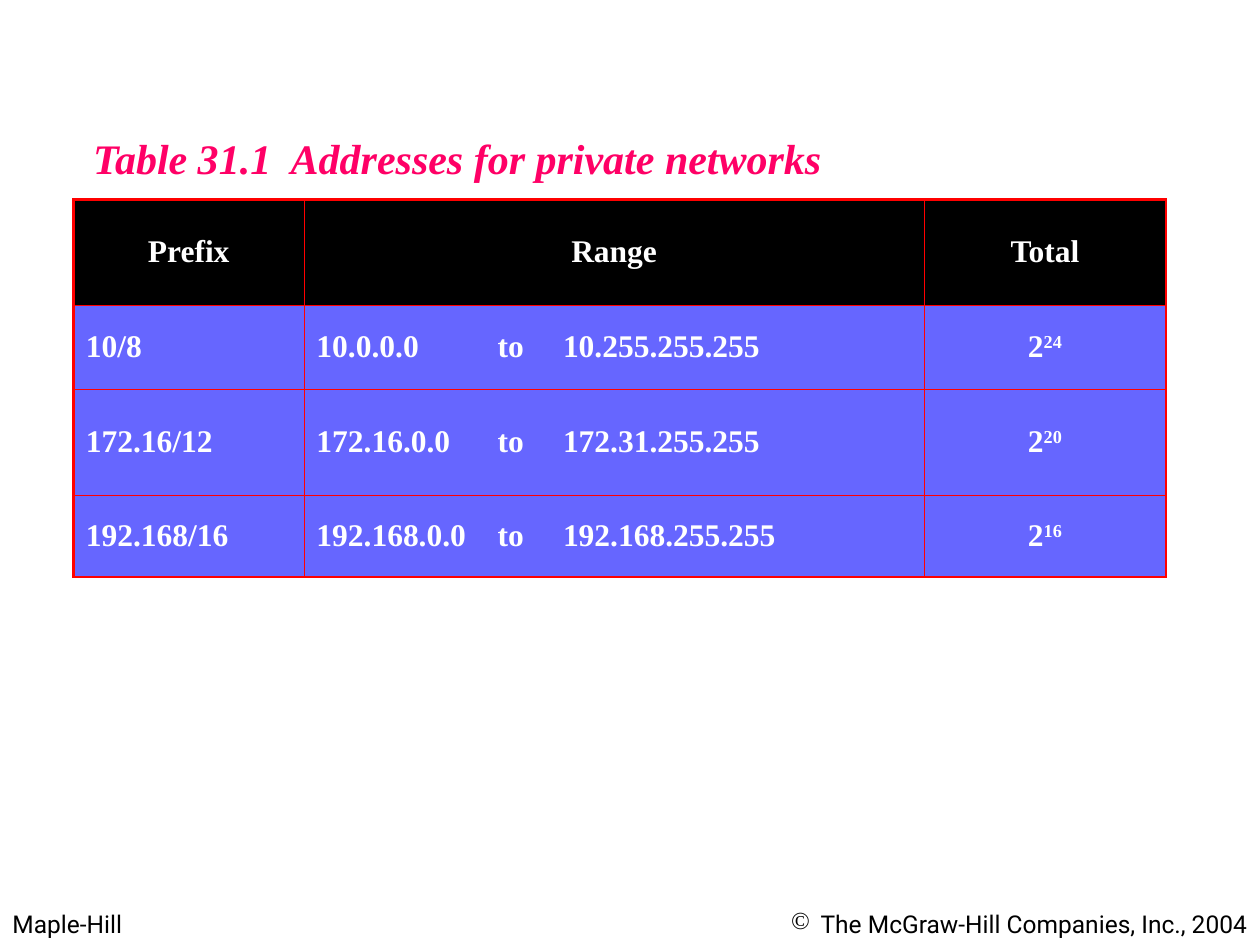
import pptx
import pptx.dml.color
import pptx.enum.text
import pptx.oxml.ns
import pptx.util
from lxml import etree

Cm, Pt, qn = pptx.util.Cm, pptx.util.Pt, pptx.oxml.ns.qn
ALIGN = pptx.enum.text.PP_ALIGN
MIDDLE = pptx.enum.text.MSO_ANCHOR.MIDDLE


def color(hex_code):
    return pptx.dml.color.RGBColor.from_string(hex_code)


def write(frame, text, size=18, font="Times New Roman", ink="FFFFFF", bold=False,
          italic=False, align=ALIGN.LEFT, superscript="", bullet="", tabs=(), wrap=True):
    frame.word_wrap = wrap
    paragraph = frame.paragraphs[0]
    paragraph.alignment = align
    properties = paragraph._p.get_or_add_pPr()
    if bullet:
        properties.set("marL", str(Cm(0.6)))
        properties.set("indent", str(-Cm(0.6)))
        etree.SubElement(properties, qn("a:buChar"), char=bullet)
    if tabs:
        tab_list = etree.SubElement(properties, qn("a:tabLst"))
        for stop in tabs:
            etree.SubElement(tab_list, qn("a:tab"), pos=str(Cm(stop)), algn="l")
    for part, raised in ((text, False), (superscript, True)):
        if not part:
            continue
        run = paragraph.add_run()
        run.text = part
        run.font.size = Pt(size)
        run.font.name = font
        run.font.bold = bold
        run.font.italic = italic
        run.font.color.rgb = color(ink)
        if raised:
            run._r.get_or_add_rPr().set("baseline", "30000")


deck = pptx.Presentation()
deck.slide_width, deck.slide_height = Cm(25.4), Cm(19.05)
slide = deck.slides.add_slide(deck.slide_layouts[6])

# Footer
footers = [
    (0, 6.15, "Maple-Hill", ALIGN.LEFT, ""),
    (12.7, 12.7, "The McGraw-Hill Companies, Inc., 2004", ALIGN.RIGHT, "©"),
]
for left, width, words, align, mark in footers:
    footer = slide.shapes.add_textbox(Cm(left), Cm(18.2), Cm(width), Cm(0.86))
    write(footer.text_frame, words, size=14, font="Roboto", ink="000000",
          align=align, bullet=mark)

# Table caption
caption = slide.shapes.add_textbox(Cm(1.63), Cm(2.54), Cm(15.29), Cm(1.27))
write(caption.text_frame, "Table 31.1  Addresses for private networks", size=24,
      ink="FF0066", bold=True, italic=True, wrap=False)

# Address table: prefix, range, exponent of the total
headings = ["Prefix", "Range", "Total"]
networks = [
    ("10/8", "10.0.0.0\tto\t10.255.255.255", "24"),
    ("172.16/12", "172.16.0.0\tto\t172.31.255.255", "20"),
    ("192.168/16", "192.168.0.0\tto\t192.168.255.255", "16"),
]
column_widths = [4.65, 12.5, 4.87]
row_heights = [2.13, 1.7, 2.13, 1.65]
last_row, last_column = len(row_heights) - 1, len(column_widths) - 1
addresses = slide.shapes.add_table(
    len(row_heights), len(column_widths), Cm(1.48), Cm(4.02),
    Cm(sum(column_widths)), Cm(sum(row_heights))).table
addresses.first_row = addresses.horz_banding = False
for column, width in zip(addresses.columns, column_widths):
    column.width = Cm(width)
for row, height in zip(addresses.rows, row_heights):
    row.height = Cm(height)

for r, values in enumerate([headings] + networks):
    for c, value in enumerate(values):
        cell = addresses.cell(r, c)
        cell.vertical_anchor = MIDDLE
        cell.margin_left = cell.margin_right = Cm(0.25)
        cell.margin_top = cell.margin_bottom = Cm(0.13)

        # Thick outer frame, thin inner rules
        outer_sides = {"lnL": c == 0, "lnR": c == last_column,
                       "lnT": r == 0, "lnB": r == last_row}
        for side, outer in outer_sides.items():
            line = etree.SubElement(cell._tc.get_or_add_tcPr(), qn("a:" + side),
                                    w=str(Pt(1.47 if outer else 0.45)))
            line_fill = etree.SubElement(line, qn("a:solidFill"))
            etree.SubElement(line_fill, qn("a:srgbClr"), val="FF0000")
        cell.fill.solid()
        cell.fill.fore_color.rgb = color("000000" if r == 0 else "6666FF")

        is_total = r > 0 and c == last_column
        write(cell.text_frame, "2" if is_total else value, bold=True,
              superscript=value if is_total else "",
              align=ALIGN.CENTER if r == 0 or is_total else ALIGN.LEFT,
              tabs=(3.65, 4.97) if r > 0 and c == 1 else ())

deck.save("out.pptx")
